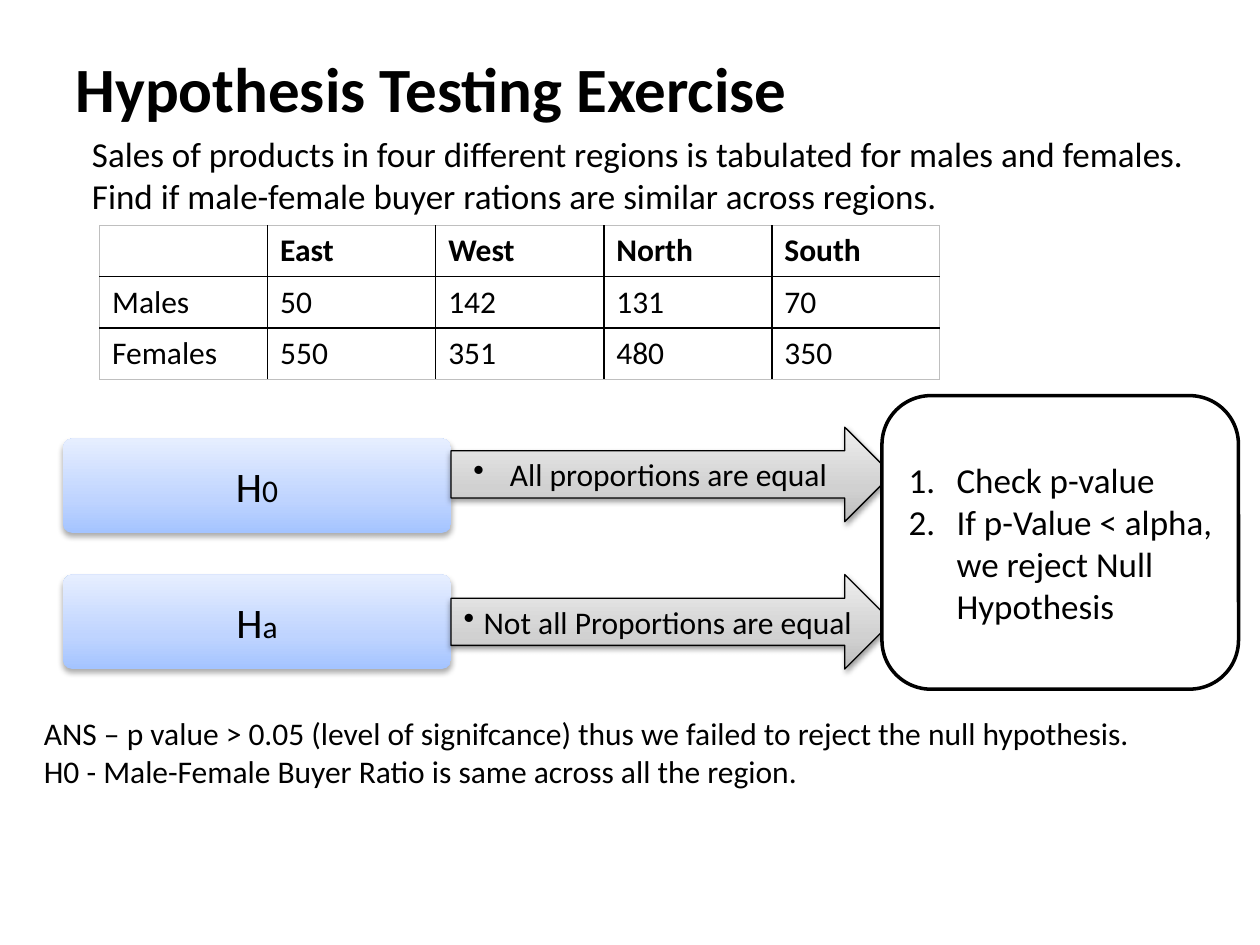
from copy import deepcopy
from dataclasses import dataclass

from lxml import etree
from pptx import Presentation
from pptx.dml.color import RGBColor
from pptx.enum.shapes import MSO_SHAPE
from pptx.enum.text import MSO_ANCHOR, MSO_AUTO_SIZE, PP_ALIGN
from pptx.oxml.ns import qn
from pptx.util import Inches, Pt

ROUNDED, ARROW = MSO_SHAPE.ROUNDED_RECTANGLE, MSO_SHAPE.RIGHT_ARROW
LEFT, CENTER = PP_ALIGN.LEFT, PP_ALIGN.CENTER
TOP, MIDDLE = MSO_ANCHOR.TOP, MSO_ANCHOR.MIDDLE
NO_FIT = MSO_AUTO_SIZE.NONE


@dataclass(frozen=True)
class Theme:
    font: str = "Calibri"
    ink: str = "000000"
    paper: str = "FFFFFF"
    faint: str = "BFBFBF"
    blues: tuple = ((0, "A4C4FF"), (0.35, "BFD4FF"), (1, "E6EEFF"))
    grays: tuple = ((0, "BDBDBD"), (0.35, "D1D1D1"), (1, "EEEEEE"))
    title: int = 36
    symbol: int = 24
    body: int = 20
    detail: int = 18


@dataclass(frozen=True)
class Shadow:
    opacity: int
    blur: float
    distance: float


@dataclass(frozen=True)
class Hypothesis:
    mark: str
    claim: str
    label_top: float
    arrow_top: float
    indent: float
    right_inset: float


THEME = Theme()
LABEL_SHADOW, ARROW_SHADOW = Shadow(32, 3.5, 2.2), Shadow(38, 3.1, 1.6)
HYPOTHESES = (
    Hypothesis("0", "All proportions are equal", 3.48, 3.39, 0.29, 0.15),
    Hypothesis("a", "Not all Proportions are equal", 4.56, 4.56, 0.16, 0.03),
)
SALES = (
    ("", "East", "West", "North", "South"),
    ("Males", "50", "142", "131", "70"),
    ("Females", "550", "351", "480", "350"),
)


def style(paragraph, size: float, bold: bool = False, align=LEFT) -> None:
    font = paragraph.font
    font.name, font.size, font.bold = THEME.font, Pt(size), bold
    font.color.rgb = RGBColor.from_string(THEME.ink)
    paragraph.alignment = align


def write(frame, lines: tuple, size: float, bold: bool = False, align=LEFT, anchor=MIDDLE) -> None:
    frame.word_wrap, frame.vertical_anchor = True, anchor
    for index, line in enumerate(lines):
        paragraph = frame.add_paragraph() if index else frame.paragraphs[0]
        paragraph.text = line
        style(paragraph, size, bold, align)


def set_bullet(paragraph, tag: str, margin: float, indent: float = 0, **attributes: str) -> None:
    properties = paragraph._p.get_or_add_pPr()
    properties.set("marL", str(Inches(margin)))
    properties.set("indent", str(Inches(indent)))
    etree.SubElement(properties, qn(tag), attributes)


def place(shape, left: float, top: float, width: float, height: float) -> None:
    shape.left, shape.top = Inches(left), Inches(top)
    shape.width, shape.height = Inches(width), Inches(height)


def add_color(parent, color: str):
    return etree.SubElement(parent, qn("a:srgbClr"), val=color)


def shade(shape, stops: tuple, shadow: Shadow) -> None:
    """Fill from bottom to top and drop a soft shadow below."""
    shape.fill.gradient()
    shape.fill.gradient_angle = 90
    stop_list = shape._element.spPr.find(".//" + qn("a:gsLst"))
    stop_list.append(deepcopy(stop_list[0]))
    for stop, (position, color) in zip(shape.fill.gradient_stops, stops):
        stop.position, stop.color.rgb = position, RGBColor.from_string(color)
    effects = shape._element.spPr.find(qn("a:effectLst"))
    outer = etree.SubElement(
        effects, qn("a:outerShdw"), blurRad=str(Pt(shadow.blur)),
        dist=str(Pt(shadow.distance)), dir="5400000", rotWithShape="0")
    etree.SubElement(add_color(outer, THEME.ink), qn("a:alpha"), val=str(shadow.opacity * 1000))


def add_box(slide, preset, left: float, top: float, width: float, height: float, line: float = 0):
    shape = slide.shapes.add_shape(preset, *map(Inches, (left, top, width, height)))
    shape.shadow.inherit = False
    if line:
        shape.line.color.rgb = RGBColor.from_string(THEME.ink)
        shape.line.width = Pt(line)
    else:
        shape.line.fill.background()
    return shape


def add_hypothesis(slide, item: Hypothesis) -> None:
    label = add_box(slide, ROUNDED, 0.5, item.label_top, 3.08, 0.75)
    label.adjustments[0] = 0.1
    shade(label, THEME.blues, LABEL_SHADOW)
    write(label.text_frame, ("H",), THEME.symbol, align=CENTER)
    mark = label.text_frame.paragraphs[0].add_run()
    mark.text, mark.font.size = item.mark, Pt(THEME.detail)

    arrow = add_box(slide, ARROW, 3.58, item.arrow_top, 3.5, 0.75, line=0.75)
    shade(arrow, THEME.grays, ARROW_SHADOW)
    frame = arrow.text_frame
    frame.margin_left, frame.margin_right = 0, Inches(item.right_inset)
    frame.margin_top = frame.margin_bottom = 0
    write(frame, (item.claim,), THEME.detail, align=CENTER)
    set_bullet(frame.paragraphs[0], "a:buChar", item.indent, -item.indent, char="•")


def add_border(cell, side: str, color: str, width: float) -> None:
    edge = etree.SubElement(cell._tc.get_or_add_tcPr(), qn("a:" + side), w=str(Pt(width)))
    add_color(etree.SubElement(edge, qn("a:solidFill")), color)


def add_sales_table(slide) -> None:
    rows, columns = len(SALES), len(SALES[0])
    table = slide.shapes.add_table(
        rows, columns, *map(Inches, (0.79, 1.79, 6.67, 1.22))).table
    for r, values in enumerate(SALES):
        for c, value in enumerate(values):
            cell = table.cell(r, c)
            write(cell.text_frame, (value,), THEME.detail, bold=r == 0, anchor=TOP)
            outer_sides = {"lnL": c == 0, "lnR": c == columns - 1,
                           "lnT": r == 0, "lnB": r == rows - 1}
            for side, is_outer in outer_sides.items():
                color, width = (THEME.faint, 0.5) if is_outer else (THEME.ink, 1)
                add_border(cell, side, color, width)
            cell.fill.background()


deck = Presentation()
deck.slide_width, deck.slide_height = Inches(10), Inches(7.5)
slide = deck.slides.add_slide(deck.slide_layouts[1])

# Title and question
title, question = slide.placeholders
place(title, 0.5, 0.3, 9, 0.78)
title.text_frame.auto_size = NO_FIT
write(title.text_frame, ("Hypothesis Testing Exercise",), THEME.title, bold=True)
place(question, 0.25, 1, 9.25, 0.78)
question.text_frame.auto_size = NO_FIT
write(question.text_frame, (
    "Sales of products in four different regions is tabulated for males and females. "
    "Find if male-female buyer rations are similar across regions.",), THEME.body, anchor=TOP)
question_text = question.text_frame.paragraphs[0]
question_text.space_before = Pt(2)
set_bullet(question_text, "a:buNone", 0.38)

# Sales by region
add_sales_table(slide)

# Hypotheses and their claims
for hypothesis in HYPOTHESES:
    add_hypothesis(slide, hypothesis)

# Decision rule
rule = add_box(slide, ROUNDED, 7, 3.14, 2.83, 2.33, line=2)
rule.fill.solid()
rule.fill.fore_color.rgb = RGBColor.from_string(THEME.paper)
rule.text_frame.margin_right = Inches(0.05)
write(rule.text_frame, ("Check p-value", "If p-Value < alpha, we reject Null Hypothesis"), THEME.body)
for step in rule.text_frame.paragraphs:
    set_bullet(step, "a:buAutoNum", 0.38, -0.38, type="arabicPeriod")

# Answer
answer = slide.shapes.add_textbox(*map(Inches, (0.25, 5.62, 9.25, 0.71)))
write(answer.text_frame, (
    "ANS – p value > 0.05 (level of signifcance) thus we failed to reject the null hypothesis.",
    "H0 - Male-Female Buyer Ratio is same across all the region."), THEME.detail, anchor=TOP)

deck.save("out.pptx")
